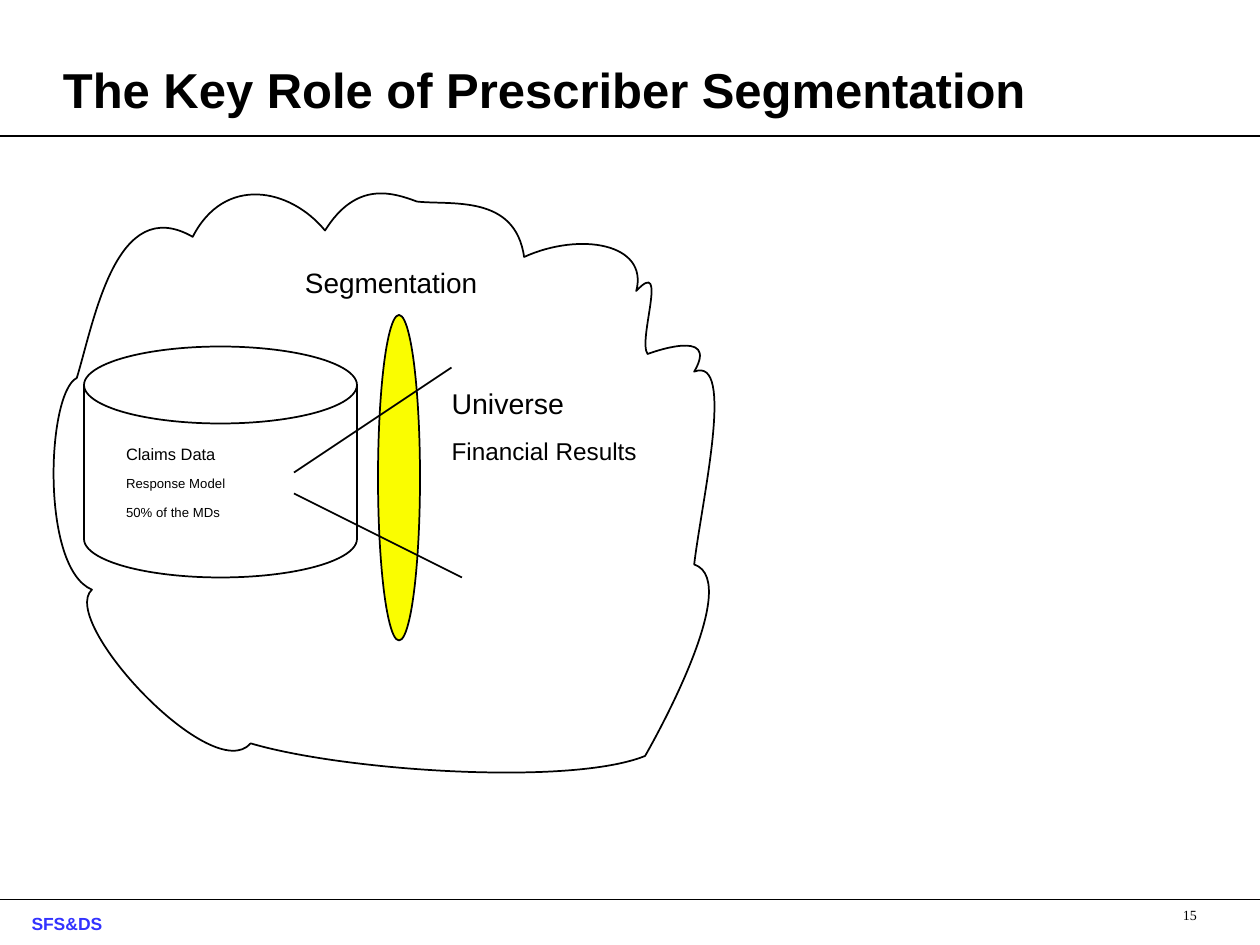
from dataclasses import dataclass

from lxml.etree import SubElement
from pptx import Presentation
from pptx.dml.color import RGBColor
from pptx.enum.shapes import MSO_CONNECTOR, MSO_SHAPE
from pptx.enum.text import MSO_ANCHOR, MSO_AUTO_SIZE, PP_ALIGN
from pptx.oxml.ns import qn
from pptx.util import Inches, Pt

COLS, ROWS = 120, 90  # twelve grid units to the inch


@dataclass(frozen=True)
class Theme:
    font: str = "Arial"
    number_font: str = "Times New Roman"
    ink: RGBColor = RGBColor(0, 0, 0)
    brand: RGBColor = RGBColor(0x33, 0x33, 0xFF)
    highlight: RGBColor = RGBColor(0xFA, 0xFD, 0x00)
    line: float = 1
    title: float = 28
    label: float = 16
    universe: float = 16.3
    results: float = 13.9
    claims: float = 9.4
    detail: float = 7.5
    footer: float = 10
    number: float = 8


T = Theme()

CLOUD_START = (1.53, 1.88)
# Each lobe: two control points and an end point, in inches
CLOUD_LOBES = [
    ((1.78, 1.39), (2.3, 1.49), (2.58, 1.83)),
    ((2.83, 1.43), (3.12, 1.53), (3.31, 1.6)),
    ((3.58, 1.63), (4.09, 1.54), (4.16, 2.04)),
    ((4.6, 1.84), (5.15, 1.93), (5.05, 2.31)),
    ((5.31, 2.03), (5.06, 2.7), (5.14, 2.81)),
    ((5.14, 2.81), (5.72, 2.59), (5.51, 2.95)),
    ((5.84, 2.82), (5.57, 3.97), (5.51, 4.48)),
    ((5.92, 4.62), (5.12, 6), (5.12, 6)),
    ((4.53, 6.24), (2.73, 6.12), (1.99, 5.9)),
    ((1.69, 6.25), (0.46, 4.93), (0.73, 4.68)),
    ((0.32, 4.51), (0.37, 3.12), (0.61, 3)),
    ((0.75, 2.54), (0.92, 1.53), CLOUD_START),
]


def grid(*units):
    return [Inches(u / 12) for u in units]


def style_shape(sp, fill=None):
    sp.shadow.inherit = False
    sp.line.color.rgb = T.ink
    sp.line.width = Pt(T.line)
    if fill is None:
        sp.fill.background()
    else:
        sp.fill.solid()
        sp.fill.fore_color.rgb = fill


def add_preset(s, kind, box, fill=None):
    sp = s.shapes.add_shape(kind, *grid(*box))
    style_shape(sp, fill)


def add_rule(s, start, end):
    cx = s.shapes.add_connector(MSO_CONNECTOR.STRAIGHT, *grid(*start, *end))
    cx.line.color.rgb = T.ink
    cx.line.width = Pt(T.line)
    SubElement(cx._element.spPr, qn("a:effectLst"))


def curve_outline(sp):
    """Turn every three straight segments into one cubic curve."""
    segments = list(sp._element.iter(qn("a:lnTo")))
    for i in range(0, len(segments), 3):
        first, *others = segments[i:i + 3]
        first.tag = qn("a:cubicBezTo")
        for segment in others:
            first.append(segment[0])
            segment.getparent().remove(segment)


def add_cloud(s):
    builder = s.shapes.build_freeform(*map(Inches, CLOUD_START))
    builder.add_line_segments(
        [tuple(map(Inches, point)) for lobe in CLOUD_LOBES for point in lobe],
        close=True)
    sp = builder.convert_to_shape()
    curve_outline(sp)
    style_shape(sp)


def add_text(s, box, lines, spacing=0.95, align=PP_ALIGN.LEFT, wrap=True,
             anchor=MSO_ANCHOR.TOP, bottom=0, font=T.font, color=T.ink, bold=False):
    """Add a text box; each line is (text, size, space before)."""
    tf = s.shapes.add_textbox(*grid(*box)).text_frame
    tf.margin_left = tf.margin_right = tf.margin_top = 0
    tf.margin_bottom = Inches(bottom)
    tf.word_wrap = wrap
    if not wrap:
        tf.auto_size = MSO_AUTO_SIZE.SHAPE_TO_FIT_TEXT
    tf.vertical_anchor = anchor
    tf.text = "\n".join(text for text, _, _ in lines)
    for p, (_, size, before) in zip(tf.paragraphs, lines):
        p.alignment = align
        p.line_spacing = spacing
        p.space_before = Pt(before)
        for r in p.runs:
            r.font.name = font
            r.font.size = Pt(size)
            r.font.bold = bold
            r.font.color.rgb = color


def add_frame(s):
    """Add the title, the two rules and the footer."""
    for y in (85.66, 12.98):
        add_rule(s, (0, y), (COLS, y))
    add_text(s, (3, 87.1, 38, 2.9), [("SFS&DS", T.footer, 0)],
             color=T.brand, bold=True)
    add_text(s, (6, 3, 108, 9),
             [("The Key Role of Prescriber Segmentation", T.title, 0)],
             spacing=Pt(41), anchor=MSO_ANCHOR.BOTTOM, bottom=0.06, bold=True)
    add_text(s, (105.4, 86.46, 8.6, 3.4), [("15", T.number, 0)],
             align=PP_ALIGN.RIGHT, font=T.number_font)


def add_diagram(s):
    add_text(s, (12, 43, 21, 6), [
        ("Claims Data", T.claims, 0),
        ("Response Model", T.detail, 11.2),
        ("50% of the MDs", T.detail, 11.2),
    ], spacing=0.55)
    add_preset(s, MSO_SHAPE.FLOWCHART_MAGNETIC_DISK, (8, 33, 26, 22))
    add_cloud(s)
    add_preset(s, MSO_SHAPE.OVAL, (36, 30, 4, 31), T.highlight)
    add_rule(s, (28, 45), (43, 35))
    add_rule(s, (28, 47), (44, 55))
    add_text(s, (29, 25.5, 16.5, 3), [("Segmentation", T.label, 0)],
             align=PP_ALIGN.CENTER, wrap=False)
    add_text(s, (43, 38, 21, 6), [
        ("Universe", T.universe, 0),
        ("Financial Results", T.results, 16.9),
    ], spacing=0.55)


def main():
    prs = Presentation()
    prs.slide_width, prs.slide_height = grid(COLS, ROWS)
    s = prs.slides.add_slide(prs.slide_layouts[6])
    add_frame(s)
    add_diagram(s)
    prs.save("out.pptx")


if __name__ == "__main__":
    main()
